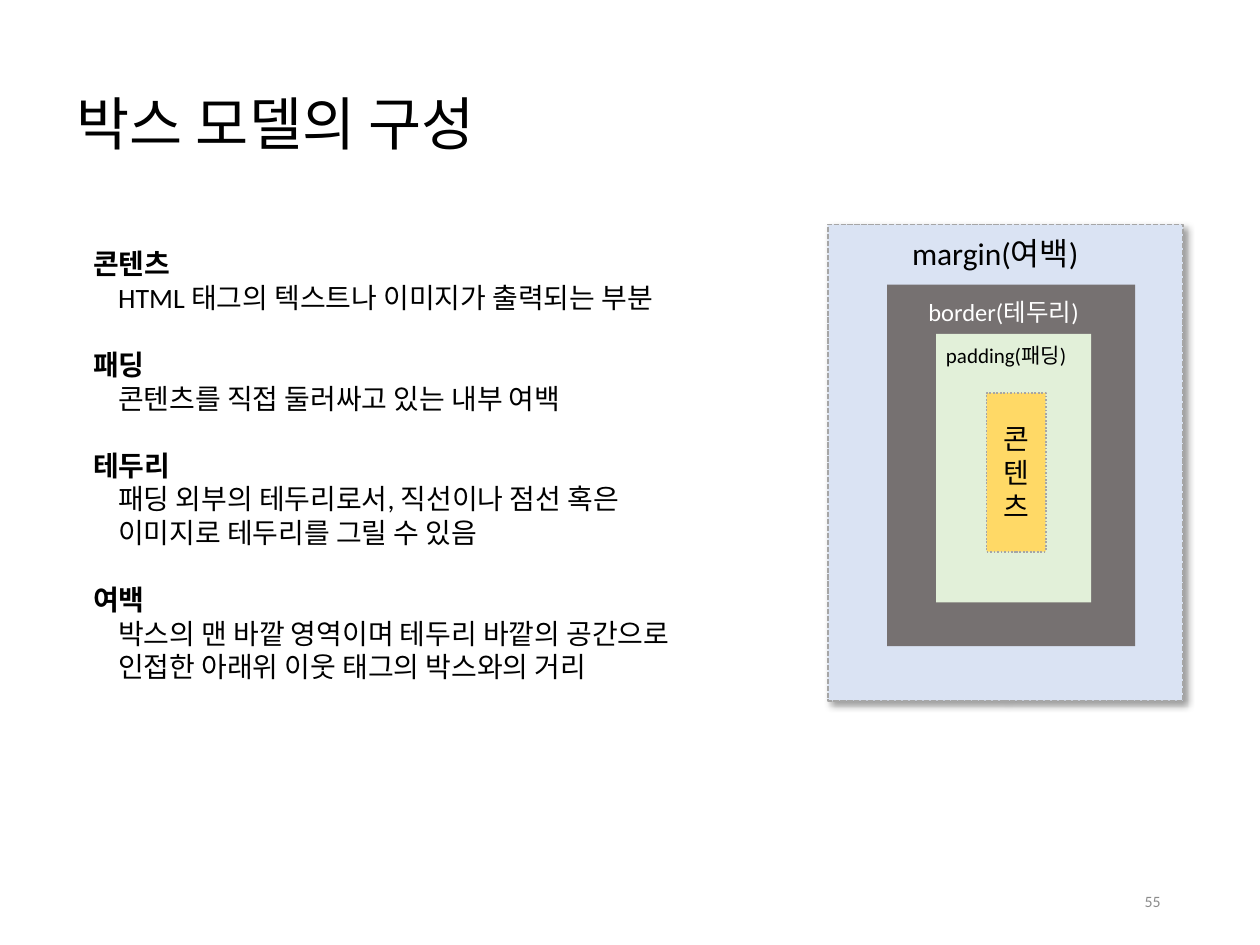
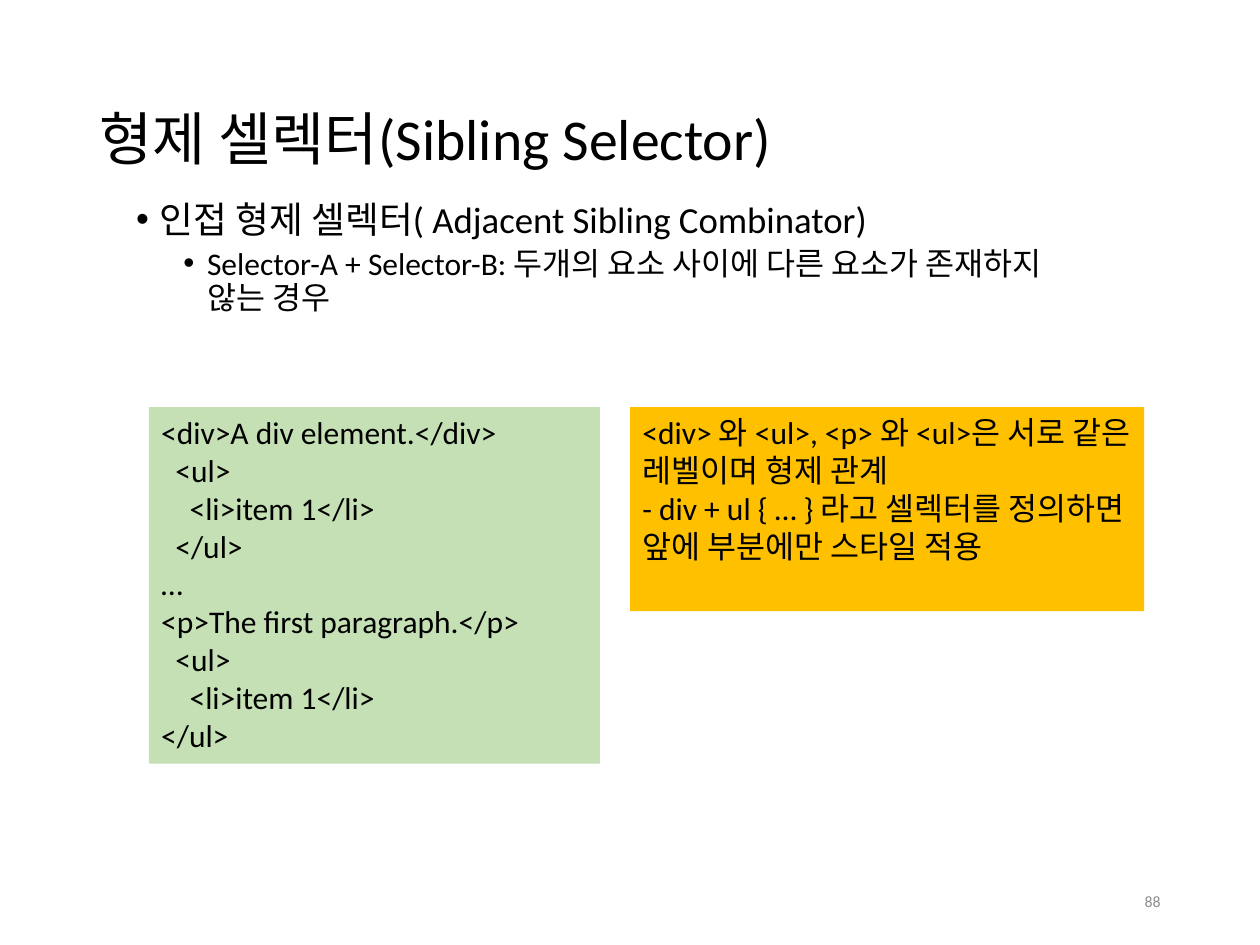
from lxml import etree
from pptx import Presentation
from pptx.dml.color import RGBColor
from pptx.enum import dml, shapes, text
from pptx.oxml.ns import qn
from pptx.util import Pt

FONT = "Calibri"
BLACK = RGBColor(0x00, 0x00, 0x00)
WHITE = RGBColor(0xFF, 0xFF, 0xFF)
PAGE_GRAY = RGBColor(0x8C, 0x8C, 0x8C)
DASH_GRAY = RGBColor(0xA6, 0xA6, 0xA6)
MARGIN_BLUE = RGBColor(0xDA, 0xE3, 0xF3)
BORDER_GRAY = RGBColor(0x76, 0x71, 0x71)
PADDING_GREEN = RGBColor(0xE2, 0xF0, 0xD9)
CONTENT_YELLOW = RGBColor(0xFF, 0xD9, 0x66)
CODE_GREEN = RGBColor(0xC5, 0xE0, 0xB4)
NOTE_ORANGE = RGBColor(0xFF, 0xC0, 0x00)

TITLE_ONLY, TITLE_AND_BODY = 5, 1
LEFT, CENTER, RIGHT = (text.PP_ALIGN.LEFT, text.PP_ALIGN.CENTER,
                       text.PP_ALIGN.RIGHT)
TOP, MIDDLE = text.MSO_ANCHOR.TOP, text.MSO_ANCHOR.MIDDLE
DASH, DOT = dml.MSO_LINE.SQUARE_DOT, dml.MSO_LINE.ROUND_DOT

DEFINITIONS = [
    ("콘텐츠", ["HTML 태그의 텍스트나 이미지가 출력되는 부분"]),
    ("패딩", ["콘텐츠를 직접 둘러싸고 있는 내부 여백"]),
    ("테두리", ["패딩 외부의 테두리로서, 직선이나 점선 혹은",
             "이미지로 테두리를 그릴 수 있음"]),
    ("여백", ["박스의 맨 바깥 영역이며 테두리 바깥의 공간으로",
            "인접한 아래위 이웃 태그의 박스와의 거리"]),
]
SIBLING_CODE = """<div>A div element.</div>
  <ul>
    <li>item 1</li>
  </ul>
…
<p>The first paragraph.</p>
  <ul>
    <li>item 1</li>
</ul>"""
SIBLING_NOTE = """<div> 와 <ul>, <p> 와 <ul>은 서로 같은 레벨이며 형제 관계
- div + ul { … } 라고 셀렉터를 정의하면 앞에 부분에만 스타일 적용"""


def place(shape, box):
    shape.left, shape.top, shape.width, shape.height = map(Pt, box)


def style_runs(paragraph, size, color=BLACK, bold=False):
    for run in paragraph.runs:
        run.font.name = FONT
        run.font.size = Pt(size)
        run.font.color.rgb = color
        run.font.bold = bold


def write(shape, words, size, color=BLACK, align=LEFT, anchor=TOP, wrap=True):
    frame = shape.text_frame
    frame.text = words
    frame.word_wrap = wrap
    frame.auto_size = text.MSO_AUTO_SIZE.NONE
    frame.vertical_anchor = anchor
    for paragraph in frame.paragraphs:
        paragraph.alignment = align
        style_runs(paragraph, size, color)
    return frame


def add_label(slide, words, box, size, **options):
    label = slide.shapes.add_textbox(*map(Pt, box))
    write(label, words, size, **options)


def add_box(slide, box, fill, dash=None):
    rect = slide.shapes.add_shape(shapes.MSO_SHAPE.RECTANGLE, *map(Pt, box))
    rect.shadow.inherit = False
    rect.fill.solid()
    rect.fill.fore_color.rgb = fill
    if dash is None:
        rect.line.fill.background()
    else:
        rect.line.color.rgb = DASH_GRAY
        rect.line.width = Pt(1)
        rect.line.dash_style = dash
    return rect


def add_drop_shadow(shape):
    effects = shape._element.spPr.find(qn("a:effectLst"))
    shadow = etree.SubElement(
        effects, qn("a:outerShdw"), blurRad=str(Pt(4)), dist=str(Pt(3)),
        dir=str(45 * 60000), algn="tl", rotWithShape="0")
    tint = etree.SubElement(shadow, qn("a:srgbClr"), val=str(BLACK))
    etree.SubElement(tint, qn("a:alpha"), val="40000")


def set_indent(paragraph, left, first=0, bullet=None):
    properties = paragraph._p.get_or_add_pPr()
    properties.set("marL", str(Pt(left)))
    properties.set("indent", str(Pt(first)))
    if bullet:
        etree.SubElement(properties, qn("a:buFont"), typeface="Arial")
        etree.SubElement(properties, qn("a:buChar"), char=bullet)


def add_slide(deck, layout, title, title_box, page):
    """Start a slide with its title and page number."""
    slide = deck.slides.add_slide(deck.slide_layouts[layout])
    place(slide.shapes.title, title_box)
    heading = write(slide.shapes.title, title, 33, anchor=MIDDLE)
    heading.paragraphs[0].line_spacing = 0.9
    add_label(slide, page, (508.3, 500.4, 162, 28.8), 9, color=PAGE_GRAY,
              align=RIGHT, anchor=MIDDLE)
    return slide


def add_definitions(slide, box):
    frame = slide.shapes.add_textbox(*map(Pt, box)).text_frame
    frame.word_wrap = True
    for index, (term, lines) in enumerate(DEFINITIONS):
        heading = frame.add_paragraph() if index else frame.paragraphs[0]
        heading.text = term
        if index:
            heading.space_before = Pt(19.2)
        style_runs(heading, 16, bold=True)
        for line in lines:
            detail = frame.add_paragraph()
            detail.text = line
            set_indent(detail, 14.4)
            style_runs(detail, 16)


def add_box_model(slide):
    margin = add_box(slide, (473, 128.2, 203, 272.2), MARGIN_BLUE, DASH)
    add_drop_shadow(margin)
    add_box(slide, (506.9, 162.7, 141.8, 206.6), BORDER_GRAY)
    add_box(slide, (535, 190.8, 88.6, 153.4), PADDING_GREEN)
    content = add_box(slide, (563.8, 224.6, 33.8, 90.7), CONTENT_YELLOW, DOT)
    frame = write(content, "\n".join("콘텐츠"), 16, align=CENTER,
                  anchor=MIDDLE)
    frame.margin_left = frame.margin_right = 0
    frame.margin_top = frame.margin_bottom = 0

    for words, box, size, color in (
            ("margin(여백)", (514.1, 130.3, 119.5, 28.8), 18, BLACK),
            ("border(테두리)", (523.4, 166.3, 108.7, 24.5), 14, WHITE),
            ("padding(패딩)", (533.5, 192.2, 91.4, 21.6), 12, BLACK)):
        add_label(slide, words, box, size, color=color, wrap=False)


def fill_body(slide, box, items):
    """Write (words, size, left indent, space before) items, one level each."""
    body = slide.placeholders[1]
    place(body, box)
    frame = write(body, "\n".join(item[0] for item in items), 18)
    for level, (paragraph, item) in enumerate(zip(frame.paragraphs, items)):
        words, size, left, before = item
        paragraph.level = level
        paragraph.line_spacing = 0.9
        paragraph.space_before = Pt(before)
        set_indent(paragraph, left, -13.5, "•")
        style_runs(paragraph, size)


def main():
    deck = Presentation()
    deck.slide_width, deck.slide_height = Pt(720), Pt(540)

    box_model = add_slide(deck, TITLE_ONLY, "박스 모델의 구성",
                          (36.7, 35.3, 612, 74.2), "55")
    add_box_model(box_model)
    add_definitions(box_model, (46.1, 137.5, 398.9, 259.2))

    siblings = add_slide(deck, TITLE_AND_BODY, "형제 셀렉터(Sibling Selector)",
                         (49.7, 28.8, 620.6, 104.4), "88")
    fill_body(siblings, (70.6, 111.6, 542.9, 86.4), [
        ("인접 형제 셀렉터( Adjacent Sibling Combinator)", 21, 13.5, 0),
        ("Selector-A + Selector-B: 두개의 요소 사이에 다른 요소가 "
         "존재하지 않는 경우", 18, 40.5, 3.8)])
    code = add_box(siblings, (85, 232.6, 257.8, 203.8), CODE_GREEN)
    write(code, SIBLING_CODE, 18)
    note = add_box(siblings, (360, 232.6, 293.8, 116.6), NOTE_ORANGE)
    write(note, SIBLING_NOTE, 18)

    deck.save("out.pptx")


if __name__ == "__main__":
    main()
